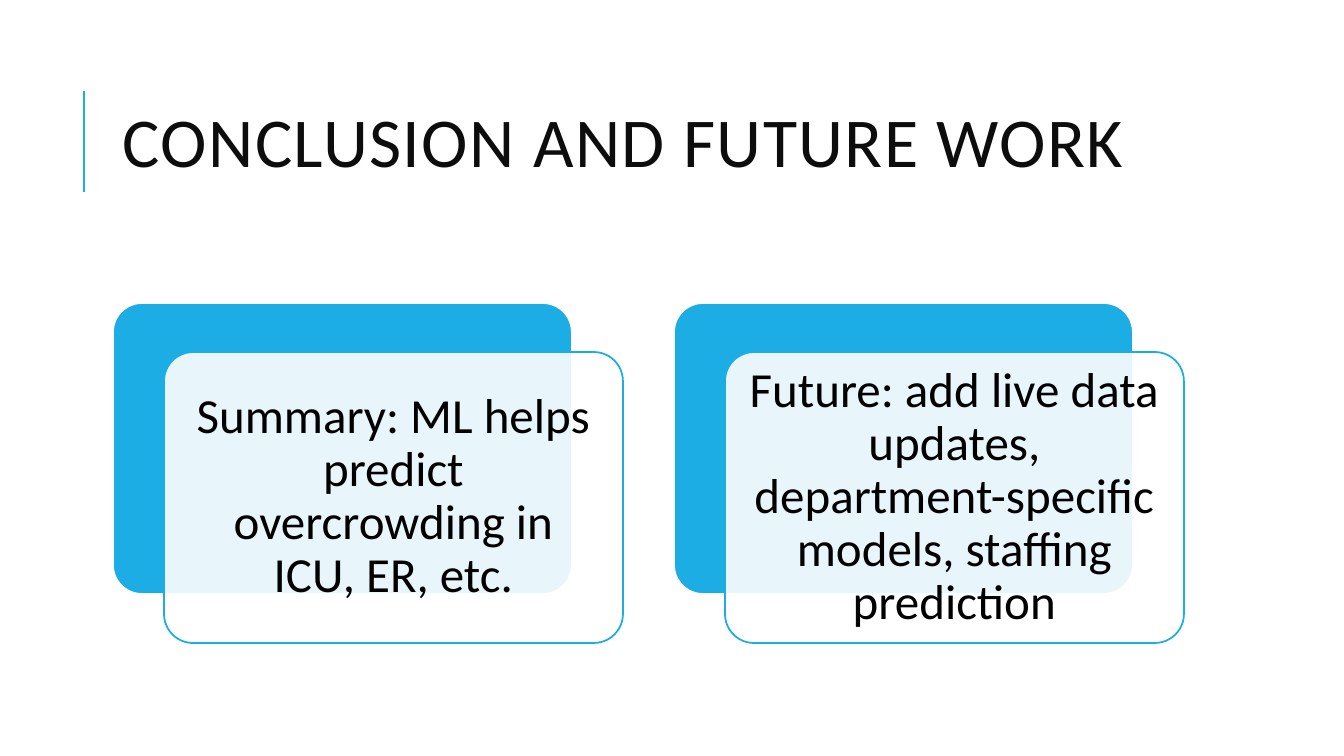
from pptx import Presentation
from pptx.dml.color import RGBColor
from pptx.enum.shapes import MSO_CONNECTOR, MSO_SHAPE
from pptx.enum.text import MSO_ANCHOR, PP_ALIGN
from pptx.oxml.ns import qn
from pptx.util import Pt
from lxml.etree import SubElement

TITLE = "CONCLUSION AND FUTURE WORK"
CARDS = [
    "Summary: ML helps predict overcrowding in ICU, ER, etc.",
    "Future: add live data updates, department-specific models, staffing prediction",
]

FONT = "Calibri"
BLUE = RGBColor(0x1C, 0xAD, 0xE4)
WHITE = RGBColor(0xFF, 0xFF, 0xFF)
INK = RGBColor(0x0D, 0x0D, 0x0D)
BLACK = RGBColor(0x00, 0x00, 0x00)

SLIDE_WIDTH, SLIDE_HEIGHT = 1344, 756
EMU_PER_PX = 12192000 / SLIDE_WIDTH
RULE_X, RULE_TOP, RULE_BOTTOM = 84, 91, 192
TITLE_BOX = (113, 65, 1072, 165)
CARD_LEFT, CARD_TOP, CARD_WIDTH, CARD_HEIGHT = 113, 303, 459, 291
CARD_STEP = 561
PANEL_SHIFT_X, PANEL_SHIFT_Y = 51, 49
PANEL_INSET = 15


def px(length):
    return round(length * EMU_PER_PX)


def add_card(page, left, top, fill, line):
    card = page.shapes.add_shape(
        MSO_SHAPE.ROUNDED_RECTANGLE, *map(px, (left, top, CARD_WIDTH, CARD_HEIGHT)))
    card.adjustments[0] = 0.1
    card.shadow.inherit = False
    card.fill.solid()
    card.fill.fore_color.rgb = fill
    card.line.color.rgb = line
    card.line.width = Pt(1.25)
    return card


def set_text(frame, text, size, color, line_spacing, alignment):
    frame.word_wrap = True
    frame.vertical_anchor = MSO_ANCHOR.MIDDLE
    para = frame.paragraphs[0]
    para.text = text
    para.alignment = alignment
    para.line_spacing = line_spacing
    para.font.name = FONT
    para.font.size = Pt(size)
    para.font.color.rgb = color
    return para


def add_heading(page):
    rule = page.shapes.add_connector(
        MSO_CONNECTOR.STRAIGHT, *map(px, (RULE_X, RULE_BOTTOM, RULE_X, RULE_TOP)))
    rule.line.color.rgb = BLUE
    rule.line.width = Pt(1.5)
    SubElement(rule._element.spPr, qn("a:effectLst"))

    box = page.shapes.add_textbox(*map(px, TITLE_BOX))
    para = set_text(box.text_frame, TITLE, 50, INK, 0.8, PP_ALIGN.LEFT)
    para.runs[0].font._element.set("spc", "100")


def add_text_card(page, left, text):
    add_card(page, left, CARD_TOP, BLUE, WHITE)
    panel = add_card(page, left + PANEL_SHIFT_X, CARD_TOP + PANEL_SHIFT_Y, WHITE, BLUE)
    white = panel._element.spPr.find(qn("a:solidFill")).find(qn("a:srgbClr"))
    SubElement(white, qn("a:alpha")).set("val", "90000")
    frame = panel.text_frame
    frame.margin_left = frame.margin_right = px(PANEL_INSET)
    frame.margin_top = frame.margin_bottom = px(PANEL_INSET)
    set_text(frame, text, 35, BLACK, 0.9, PP_ALIGN.CENTER)


def main():
    deck = Presentation()
    deck.slide_width, deck.slide_height = px(SLIDE_WIDTH), px(SLIDE_HEIGHT)
    page = deck.slides.add_slide(deck.slide_layouts[6])
    add_heading(page)
    for index, text in enumerate(CARDS):
        add_text_card(page, CARD_LEFT + index * CARD_STEP, text)
    deck.save("out.pptx")


if __name__ == "__main__":
    main()
